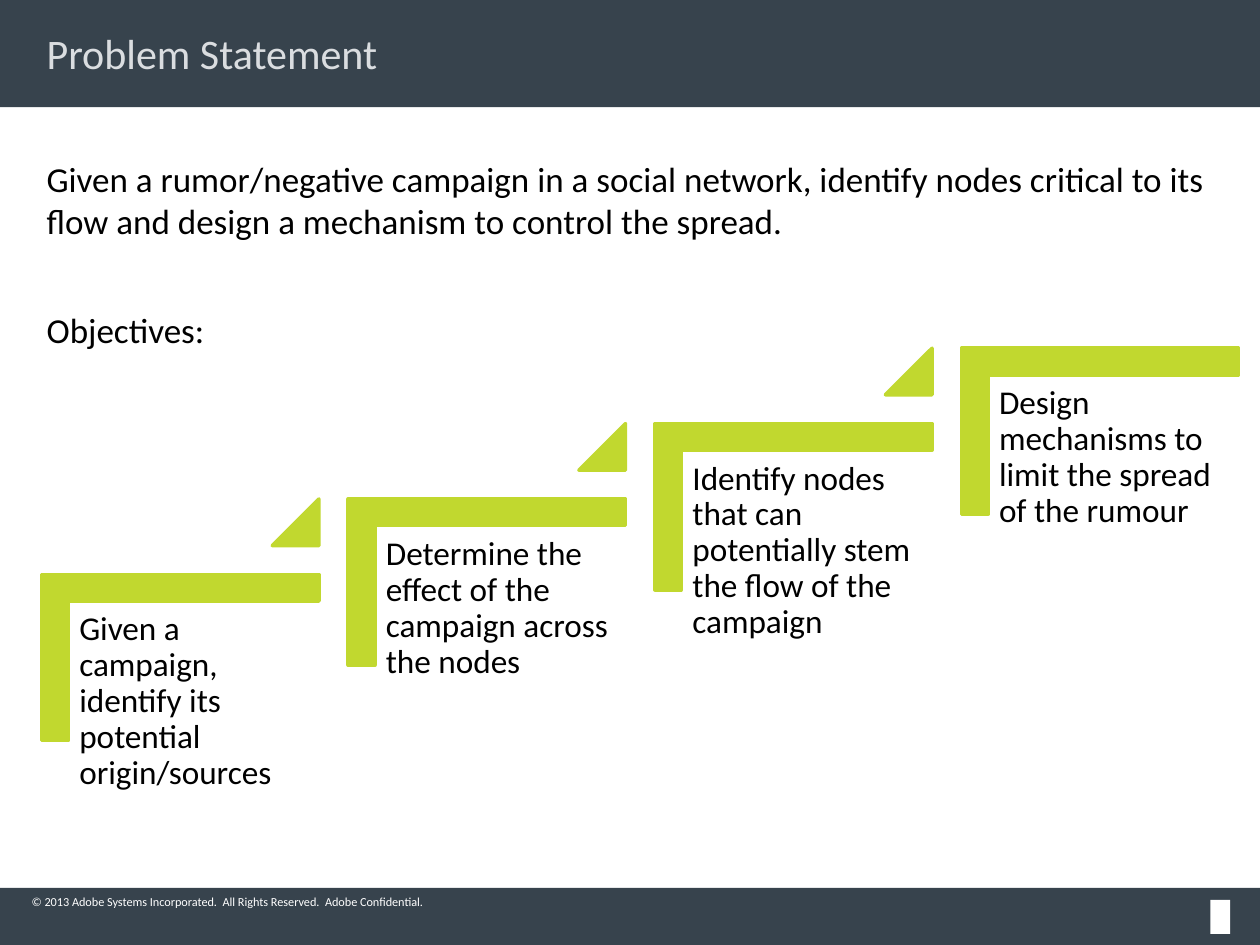
"""Build the problem statement slide with its rising steps of objectives."""
from pptx import Presentation
from pptx.dml.color import RGBColor
from pptx.enum.shapes import MSO_SHAPE as Shape
from pptx.enum.text import MSO_ANCHOR as Anchor, PP_ALIGN as Align
from pptx.util import Cm, Pt

SLATE = RGBColor(0x37, 0x43, 0x4D)
LIME = RGBColor(0xC1, 0xD8, 0x2F)
PALE = RGBColor(0xDA, 0xDD, 0xE0)
WHITE = RGBColor(0xFF, 0xFF, 0xFF)
BLACK = RGBColor(0x00, 0x00, 0x00)

FONT = "Calibri"
STEP_RIGHT = 6.18
STEP_UP = 1.52
STATEMENT = [
    "Given a rumor/negative campaign in a social network, identify nodes "
    "critical to its flow and design a mechanism to control the spread.",
    "Objectives:",
]
OBJECTIVES = [
    "Given a campaign, identify its potential origin/sources",
    "Determine the effect of the campaign across the nodes",
    "Identify nodes that can potentially stem the flow of the campaign",
    "Design mechanisms to limit the spread of the rumour",
]


def add_block(slide, kind, left, top, width, height, color, line_width=None):
    shape = slide.shapes.add_shape(kind, Cm(left), Cm(top), Cm(width), Cm(height))
    shape.shadow.inherit = False
    shape.fill.solid()
    shape.fill.fore_color.rgb = color
    if line_width is None:
        shape.line.fill.background()
    else:
        shape.line.color.rgb = color
        shape.line.width = Pt(line_width)
    return shape


def add_text(slide, paragraphs, left, top, width, height, size, color,
             inset=(0, 0), anchor=Anchor.TOP, gap=0, line_spacing=1.0):
    box = slide.shapes.add_textbox(Cm(left), Cm(top), Cm(width), Cm(height))
    frame = box.text_frame
    frame.word_wrap = True
    frame.vertical_anchor = anchor
    frame.margin_left = frame.margin_right = Cm(inset[0])
    frame.margin_top = frame.margin_bottom = Cm(inset[1])
    frame.text = "\n".join(paragraphs)
    for index, paragraph in enumerate(frame.paragraphs):
        paragraph.alignment = Align.LEFT
        paragraph.line_spacing = line_spacing
        if index:
            paragraph.space_before = Pt(gap)
        for run in paragraph.runs:
            run.font.name = FONT
            run.font.size = Pt(size)
            run.font.color.rgb = color


def add_step(slide, index, objective, is_last):
    right, up = index * STEP_RIGHT, index * STEP_UP
    corner = add_block(slide, Shape.CORNER, 1.96 + right, 10.46 - up, 3.35, 5.59, LIME, 2)
    corner.rotation = 90
    corner.adjustments[0] = corner.adjustments[1] = 0.16
    add_text(slide, [objective], 1.4 + right, 12.14 - up, 5.05, 4.42, 19, BLACK,
             inset=(0.2, 0.2), line_spacing=0.9)
    if not is_last:
        triangle = add_block(slide, Shape.ISOSCELES_TRIANGLE,
                             5.49 + right, 10.06 - up, 0.94, 0.94, LIME, 2)
        triangle.adjustments[0] = 1


def main():
    presentation = Presentation()
    presentation.slide_width, presentation.slide_height = Cm(25.4), Cm(19.05)
    slide = presentation.slides.add_slide(presentation.slide_layouts[6])

    add_block(slide, Shape.RECTANGLE, 0, 0, 25.4, 2.16, SLATE)
    add_block(slide, Shape.RECTANGLE, 0, 17.9, 25.4, 1.15, SLATE)
    add_block(slide, Shape.RECTANGLE, 24.4, 18.14, 0.4, 0.69, WHITE)
    add_text(slide, ["© 2013 Adobe Systems Incorporated.  All Rights Reserved.  Adobe Confidential."],
             0.64, 18.02, 10.8, 0.3, 7, WHITE, anchor=Anchor.BOTTOM)
    add_text(slide, ["Problem Statement"], 0.64, 0.5, 24.13, 1.14, 24, PALE,
             inset=(0.3, 0.15), anchor=Anchor.MIDDLE)
    add_text(slide, STATEMENT, 0.64, 3.02, 24.13, 13.28, 20, BLACK,
             inset=(0.3, 0.15), gap=38.5)

    for index, objective in enumerate(OBJECTIVES):
        add_step(slide, index, objective, index == len(OBJECTIVES) - 1)

    presentation.save("out.pptx")


if __name__ == "__main__":
    main()
